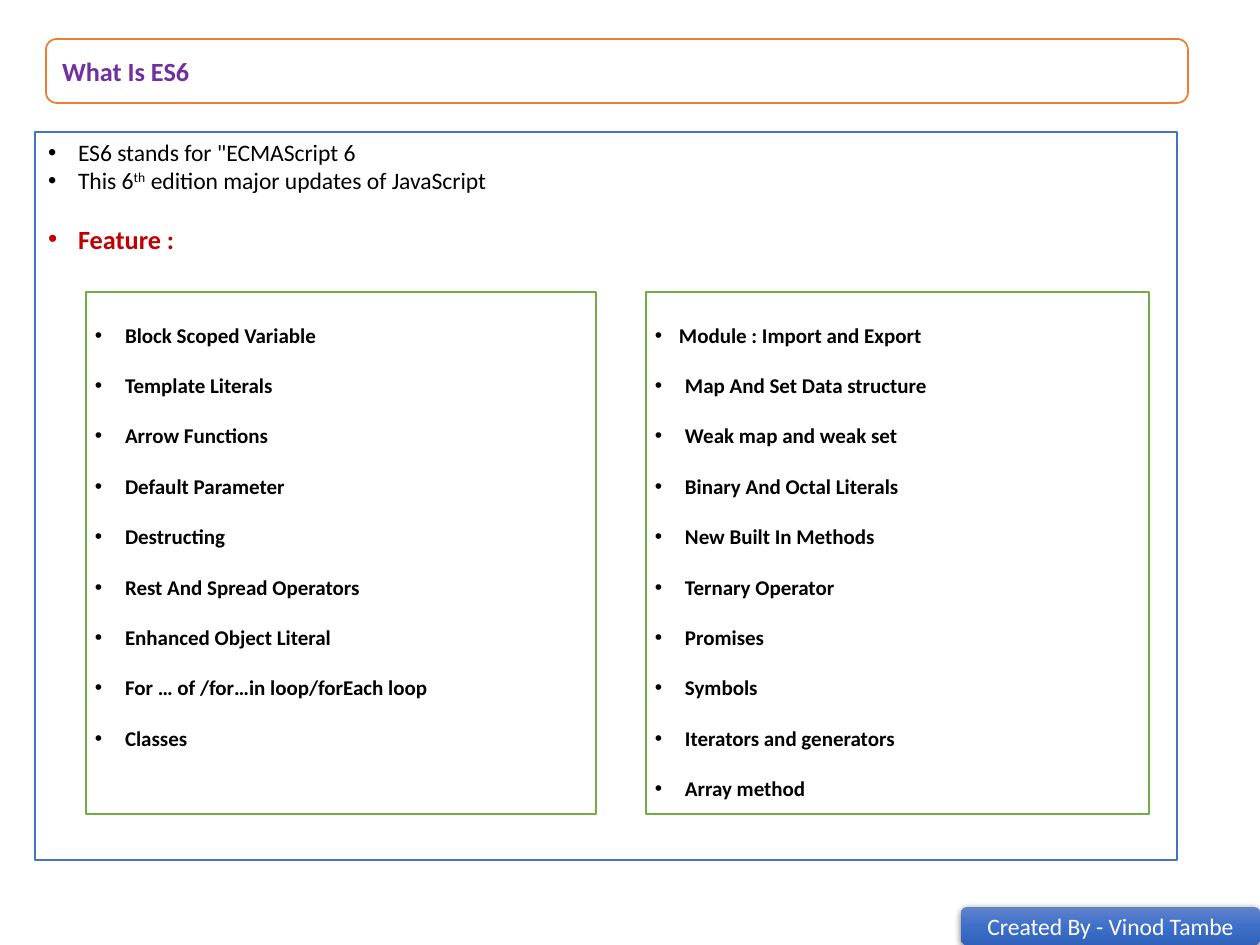
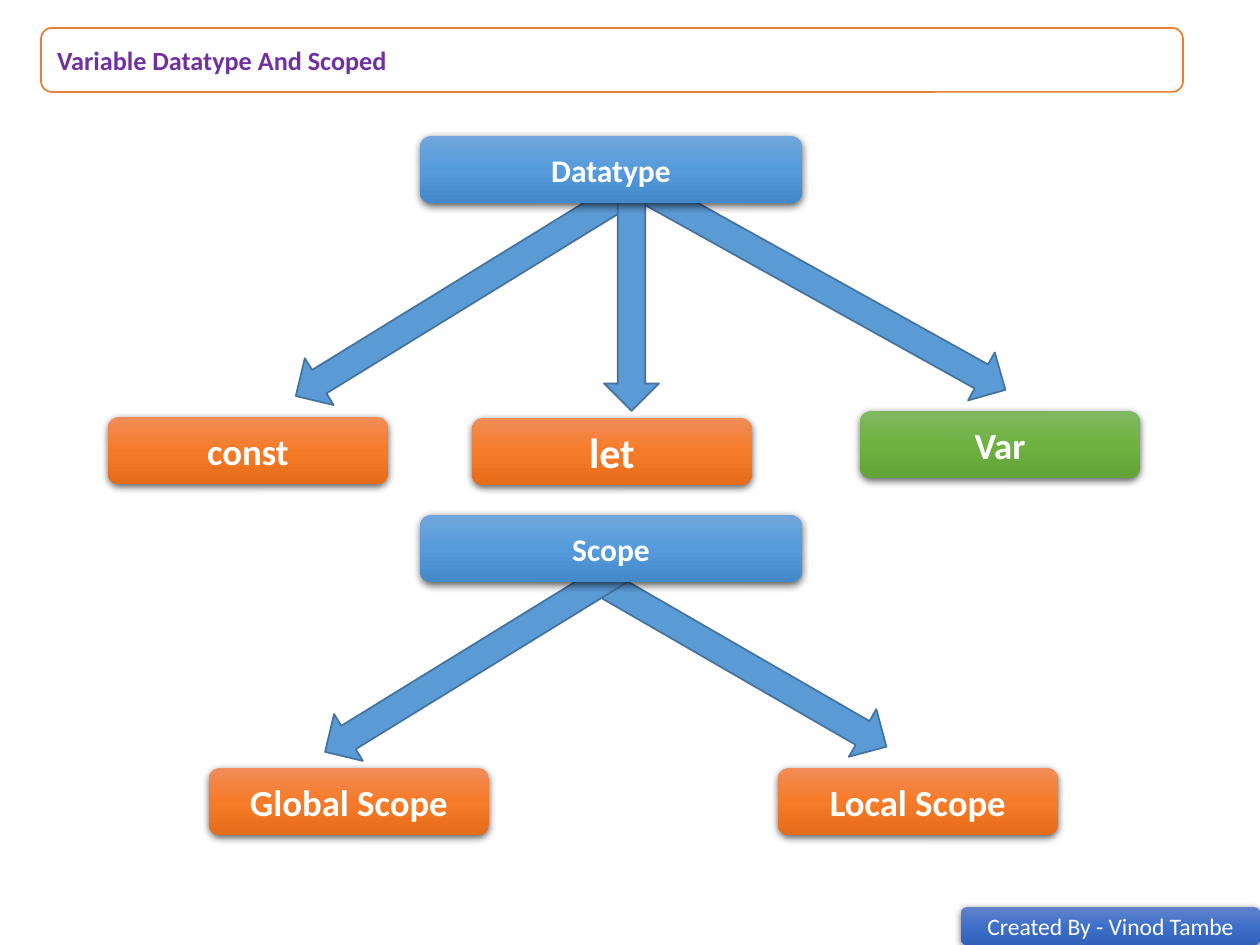
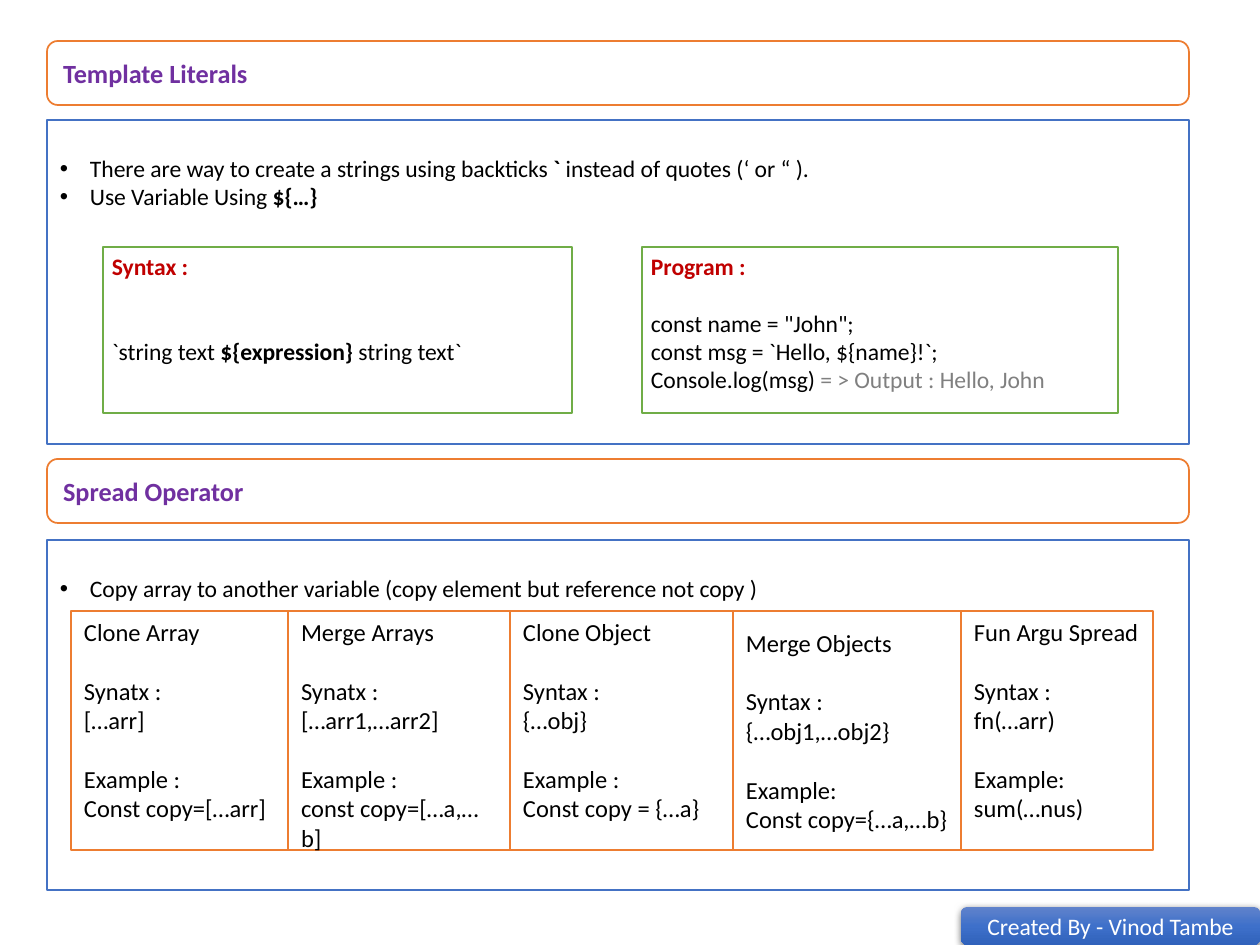
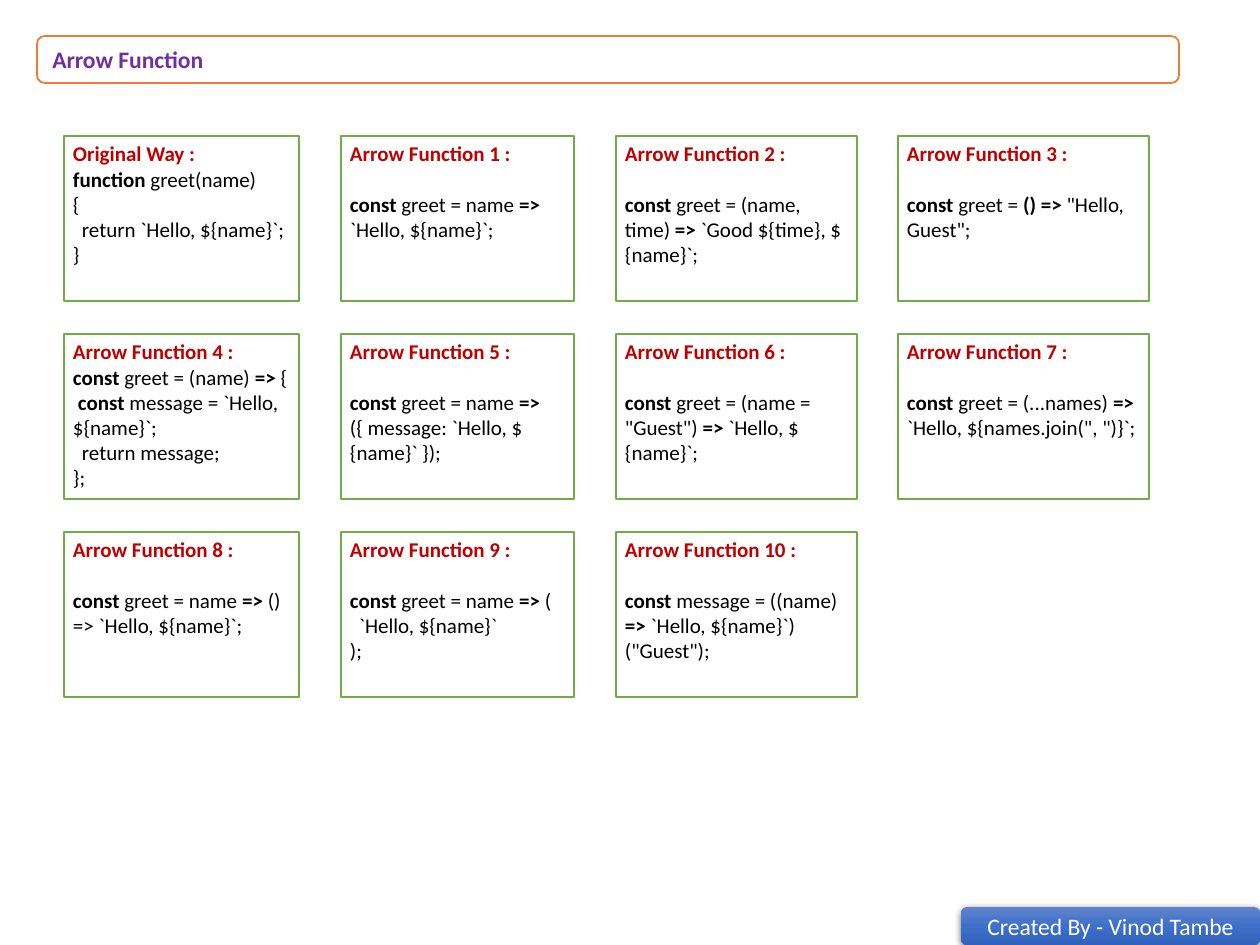
import copy
import pptx
import pptx.dml.color
import pptx.enum.shapes
import pptx.enum.text
import pptx.oxml
import pptx.oxml.ns
import pptx.util

RGB = pptx.dml.color.RGBColor
KIND = pptx.enum.shapes.MSO_SHAPE
ANCHOR = pptx.enum.text.MSO_ANCHOR
ALIGN = pptx.enum.text.PP_ALIGN

WHITE = RGB(0xFF, 0xFF, 0xFF)
BLACK = RGB(0x00, 0x00, 0x00)
GREY = RGB(0x80, 0x80, 0x80)
RED = RGB(0xC0, 0x00, 0x00)
PURPLE = RGB(0x70, 0x30, 0xA0)
ORANGE = RGB(0xED, 0x7D, 0x31)
GREEN = RGB(0x70, 0xAD, 0x47)
BLUE = RGB(0x44, 0x72, 0xC4)
SKY = RGB(0x5B, 0x9B, 0xD5)
STEEL = RGB(0x43, 0x73, 0x9E)

NAVY_FADE = (RGB(0x61, 0x83, 0xCB), RGB(0x3E, 0x70, 0xCA), RGB(0x30, 0x62, 0xBB))
SKY_FADE = (RGB(0x71, 0xA6, 0xDB), RGB(0x55, 0x9B, 0xDB), RGB(0x44, 0x8A, 0xCA))
FIRE_FADE = (RGB(0xF1, 0x8C, 0x57), RGB(0xF6, 0x7B, 0x28), RGB(0xE5, 0x6C, 0x19))
LEAF_FADE = (RGB(0x81, 0xB8, 0x61), RGB(0x6F, 0xB2, 0x42), RGB(0x62, 0xA3, 0x36))

SCALE = 914400 / 126
LINE = 1.2
WIDE = (13, 6)
TIGHT = (9, 5)
MARKS = {"*": {"bold": True}, "^": {"lift": 30000}, "~": {"color": GREY}}
SHADOW = (
    f'<a:outerShdw {pptx.oxml.ns.nsdecls("a")} blurRad="57150" dist="19050" '
    'dir="5400000" algn="ctr" rotWithShape="0"><a:srgbClr val="000000">'
    '<a:alpha val="63000"/></a:srgbClr></a:outerShdw>'
)


def px(size):
    return pptx.util.Emu(round(size * SCALE))


class Deck:
    font = "Calibri"

    def __init__(self):
        self.file = pptx.Presentation()
        self.file.slide_width = px(1260)
        self.file.slide_height = px(945)
        self.slide = None

    def page(self):
        self.slide = self.file.slides.add_slide(self.file.slide_layouts[6])
        self.badge((961, 907, 299, 38), "Created By - Vinod Tambe",
                   NAVY_FADE, 13.5, bold=False, inset=WIDE)

    def shape(self, kind, box, fill=WHITE, edge=None, width=1):
        item = self.slide.shapes.add_shape(kind, *map(px, box))
        item.shadow.inherit = False
        if fill:
            item.fill.solid()
            item.fill.fore_color.rgb = fill
        else:
            item.fill.background()
        if edge:
            item.line.color.rgb = edge
            item.line.width = pptx.util.Pt(width)
        else:
            item.line.fill.background()
        return item

    def text(self, item, lines, inset=WIDE, top=0,
             anchor=ANCHOR.TOP, align=ALIGN.LEFT, **base):
        frame = item.text_frame
        side, edge = inset
        look = {
            "word_wrap": True, "vertical_anchor": anchor,
            "margin_left": px(side), "margin_right": px(side),
            "margin_top": px(edge + top), "margin_bottom": px(edge),
        }
        for key, value in look.items():
            setattr(frame, key, value)
        for spot, line in enumerate(lines):
            words, extra = (line, {}) if isinstance(line, str) else line
            para = frame.add_paragraph() if spot else frame.paragraphs[0]
            para.alignment = align
            self.row(para, words, {**base, **extra})

    def row(self, para, words, style):
        if "space" in style:
            para.line_spacing = style["space"]
        if "gap" in style:
            para.space_before = pptx.util.Pt(style["gap"] * style["size"] * LINE)
        bullet = style.get("bullet")
        left = bullet or style.get("left", 0)
        first = -bullet if bullet else style.get("first", 0)
        props = para._p.get_or_add_pPr()
        props.set("marL", str(px(left)))
        props.set("indent", str(px(first)))
        if bullet:
            for tag, key, value in (("buFont", "typeface", "Arial"), ("buChar", "char", "•")):
                mark = pptx.oxml.parse_xml(f'<a:{tag} {pptx.oxml.ns.nsdecls("a")}/>')
                mark.set(key, value)
                props.append(mark)
        for part in words.split("|"):
            mark = MARKS.get(part[0])
            self.span(para, part[1:] if mark else part, {**style, **(mark or {})})

    def span(self, para, words, style):
        run = para.add_run()
        run.text = words
        look = {"name": self.font, "size": pptx.util.Pt(style["size"]),
                "bold": style.get("bold", False)}
        for key, value in look.items():
            setattr(run.font, key, value)
        run.font.color.rgb = style.get("color", BLACK)
        if "lift" in style:
            run._r.get_or_add_rPr().set("baseline", str(style["lift"]))

    def title(self, left, top, words, high=64, size=15):
        item = self.shape(KIND.ROUNDED_RECTANGLE, (left, top, 1142, high), edge=ORANGE)
        self.text(item, [words], anchor=ANCHOR.MIDDLE, size=size, bold=True, color=PURPLE)

    def panel(self, box, lines, top=0):
        item = self.shape(KIND.RECTANGLE, box, edge=BLUE)
        self.text(item, lines, top=top, size=13.5, bullet=30)

    def listing(self, box, lines):
        item = self.shape(KIND.RECTANGLE, box, fill=None, edge=GREEN, width=0.75)
        self.text(item, lines, inset=TIGHT, size=12, bold=True, bullet=30, space=2.0)

    def card(self, box, head, lines, size):
        item = self.shape(KIND.RECTANGLE, box, edge=GREEN)
        title = (head, {"bold": True, "color": RED})
        self.text(item, [title, *lines], inset=TIGHT, size=size)

    def cell(self, box, lines, anchor):
        item = self.shape(KIND.RECTANGLE, box, edge=ORANGE)
        self.text(item, lines, anchor=anchor, size=14)

    def badge(self, box, words, fade, size, bold=True, inset=TIGHT):
        item = self.shape(KIND.ROUNDED_RECTANGLE, box)
        item.fill.gradient()
        item.fill.gradient_angle = 270
        props = item._element.spPr
        stops = props.find(".//" + pptx.oxml.ns.qn("a:gsLst"))
        stops.insert(1, copy.deepcopy(stops[0]))
        for spot, (stop, color) in enumerate(zip(item.fill.gradient_stops, fade)):
            stop.position = spot / 2
            stop.color.rgb = color
        props.find(pptx.oxml.ns.qn("a:effectLst")).append(pptx.oxml.parse_xml(SHADOW))
        self.text(item, [words], inset=inset, anchor=ANCHOR.MIDDLE, align=ALIGN.CENTER,
                  size=size, bold=bold, color=WHITE)

    def arrow(self, left, top, high, turn):
        item = self.shape(KIND.DOWN_ARROW, (left, top, 55, high), SKY, STEEL)
        item.rotation = turn


def intro(deck):
    deck.page()
    deck.title(46, 39, "What Is ES6")
    deck.panel((35, 132, 1142, 728), [
        'ES6 stands for "ECMAScript 6',
        "This 6|^th| edition major updates of JavaScript",
        ("Feature :", {"size": 15, "bold": True, "color": RED, "gap": 0.9}),
    ])
    deck.listing((646, 292, 503, 522), [
        ("Module : Import and Export", {"bullet": 24}),
        "Map And Set Data structure", "Weak map and weak set",
        "Binary And Octal Literals", "New Built In Methods", "Ternary Operator",
        "Promises", "Symbols", "Iterators and generators", "Array method",
    ])
    deck.listing((86, 292, 510, 522), [
        "Block Scoped Variable", "Template Literals", "Arrow Functions",
        "Default Parameter", "Destructing", "Rest And Spread Operators",
        "Enhanced Object Literal", "For … of /for…in loop/forEach loop", "Classes",
    ])


def scopes(deck):
    deck.page()
    deck.title(41, 28, "Variable Datatype And Scoped")
    for arrow in (
        (687, 449, 397, 300), (431, 105, 382, 58.4), (794, 77, 421, 299.1),
        (604, 185, 226, 0), (473, 438, 412, 58.4),
    ):
        deck.arrow(*arrow)
    for top, words in ((136, "Datatype"), (515, "Scope")):
        deck.badge((420, top, 382, 67), words, SKY_FADE, 18)
    for left, top, words, fade, size in (
        (108, 417, "const", FIRE_FADE, 21),
        (472, 418, "let", FIRE_FADE, 24),
        (860, 411, "Var", LEAF_FADE, 21),
        (209, 768, "Global Scope", FIRE_FADE, 21),
        (778, 768, "Local Scope", FIRE_FADE, 21),
    ):
        deck.badge((left, top, 280, 67), words, fade, size)


def strings(deck):
    deck.page()
    gap = {"gap": 1}
    deck.title(47, 41, "Template Literals")
    deck.panel((47, 120, 1142, 324), [
        "There are way to create a strings using backticks |*`| instead of quotes (‘ or “ ).",
        "Use Variable Using |*${…}",
    ], top=28)
    deck.card((103, 247, 469, 166), "Syntax :", [
        ("`string text |*${expression} |string text`", {"gap": 2}),
    ], 13.5)
    deck.card((642, 247, 476, 166), "Program :", [
        ('const name = "John";', gap),
        "const msg = `Hello, ${name}!`;",
        "Console.log(msg) |~= > Output : Hello, John",
    ], 13.5)
    deck.title(47, 459, "Spread Operator")
    deck.panel((47, 540, 1142, 350), [
        "Copy array to another variable (copy element but reference not copy )",
    ], top=28)
    for left, wide, head, rule, form, label, code, anchor in (
        (71, 217, "Clone Array", "Synatx :", "[…arr]",
         "Example :", "Const copy=[…arr]", ANCHOR.TOP),
        (288, 223, "Merge Arrays", "Synatx :", "[…arr1,…arr2]",
         "Example :", "const copy=[…a,…b]", ANCHOR.TOP),
        (510, 223, "Clone Object", "Syntax :", "{…obj}",
         "Example :", "Const copy = {…a}", ANCHOR.TOP),
        (733, 237, "Merge Objects", "Syntax :", "{…obj1,…obj2}",
         "Example:", "Const copy={…a,…b}", ANCHOR.MIDDLE),
        (961, 192, "Fun Argu Spread", "Syntax :", "fn(…arr)",
         "Example:", "sum(…nus)", ANCHOR.TOP),
    ):
        lines = [head, (rule, gap), form, (label, gap), code]
        deck.cell((left, 611, wide, 239), lines, anchor)


def arrows(deck):
    deck.page()
    deck.title(37, 36, "Arrow Function", high=47, size=13.5)
    gap = {"gap": 1}
    inner = {"left": 9}
    cards = [
        ["*function| greet(name)", "{", ("return `Hello, ${name}`;", inner), "}"],
        [("*const| greet = name |*=>| `Hello, ${name}`;", gap)],
        [("*const |greet = (name, time) |*=>| `Good ${time}, ${name}`;", gap)],
        [('*const| greet = |*() =>| "Hello, Guest";', gap)],
        ["*const| greet = (name) |*=>| {",
         ("*const| message = `Hello, ${name}`;", {"first": 5}),
         ("return message;", inner), "};"],
        [("*const| greet = name |*=>| ({ message: `Hello, ${name}` });", gap)],
        [('*const| greet = (name = "Guest") |*=>| `Hello, ${name}`;', gap)],
        [('*const| greet = (...names) |*=>| `Hello, ${names.join(", ")}`;', gap)],
        [("*const| greet = name |*=>| () => `Hello, ${name}`;", gap)],
        [("*const| greet = name |*=>| (", gap), ("`Hello, ${name}`", inner), ");"],
        [('*const| message = ((name) |*=>| `Hello, ${name}`)("Guest");', gap)],
    ]
    slots = ((64, 235), (341, 233), (616, 241), (898, 251))
    for spot, lines in enumerate(cards):
        row, col = divmod(spot, len(slots))
        left, wide = slots[col]
        head = f"Arrow Function {spot} :" if spot else "Original Way :"
        deck.card((left, 136 + 198 * row, wide, 165), head, lines, 12)


def main():
    deck = Deck()
    for build in (intro, scopes, strings, arrows):
        build(deck)
    deck.file.save("out.pptx")


if __name__ == "__main__":
    main()
